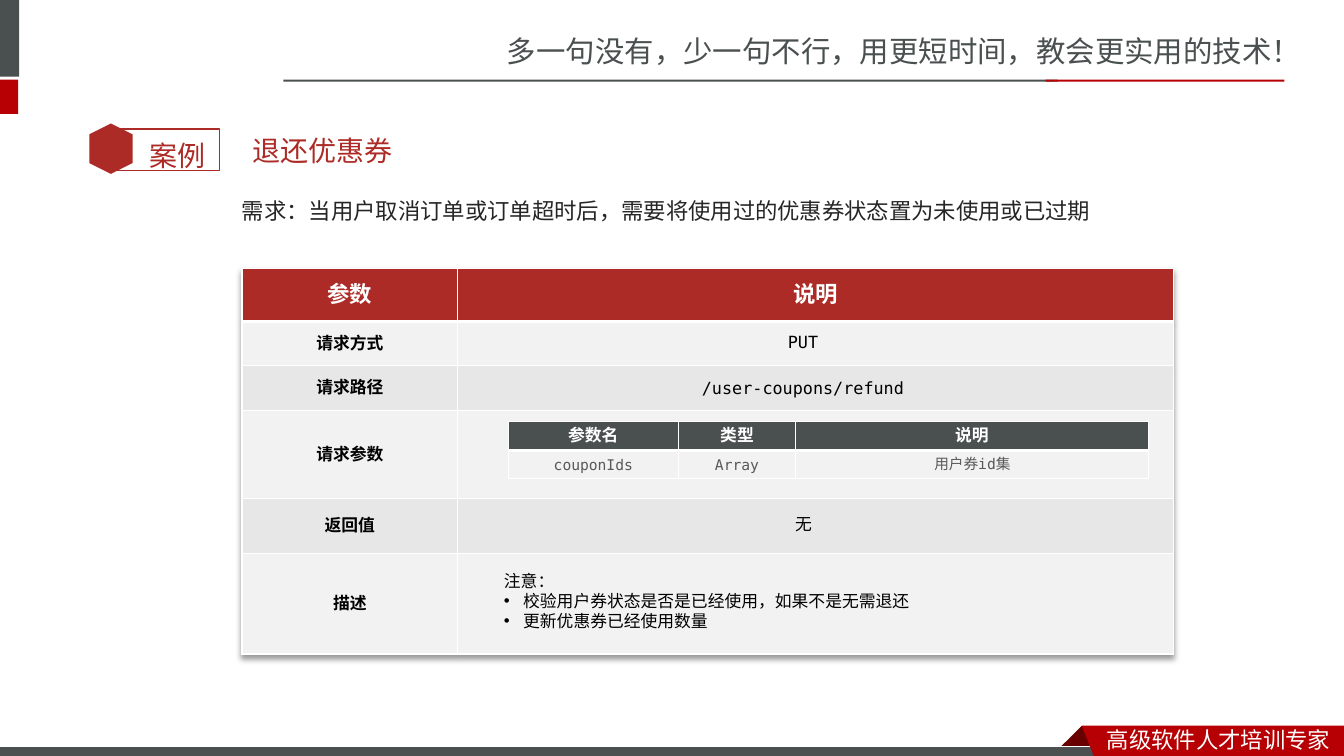
from lxml import etree
from pptx import Presentation
from pptx.dml.color import RGBColor
from pptx.enum.shapes import MSO_SHAPE
from pptx.enum.text import MSO_ANCHOR, MSO_AUTO_SIZE, PP_ALIGN
from pptx.oxml.ns import qn
from pptx.util import Inches, Pt

RECT = MSO_SHAPE.RECTANGLE
HEXAGON = MSO_SHAPE.HEXAGON
MIDDLE = MSO_ANCHOR.MIDDLE
TOP = MSO_ANCHOR.TOP
LEFT = PP_ALIGN.LEFT
CENTER = PP_ALIGN.CENTER

SANS = "Noto Sans CJK SC"
SANS_JP = "Noto Sans CJK JP"
MONO = "DejaVu Sans Mono"

COLORS = {
    "slate": "49504F", "red": "B60004", "fold": "680000", "brick": "AD2B26",
    "white": "FFFFFF", "black": "000000", "ink": "262626", "gray": "595959",
    "light": "F2F2F2", "band": "E7E7E7",
}


def color(name):
    return RGBColor.from_string(COLORS[name])


def add_span(para, text, size, font, tint, bold=False):
    span = para.add_run()
    span.text = text
    span.font.size = Pt(size)
    span.font.name = font
    span.font.bold = bold
    span.font.color.rgb = color(tint)
    etree.SubElement(span.font._element, qn("a:ea"), typeface=font)


def set_bullet(para, char=None):
    props = para._p.get_or_add_pPr()
    indent = Inches(0.19) if char else 0
    props.set("marL", str(indent))
    props.set("indent", str(-indent))
    if char:
        etree.SubElement(props, qn("a:buFont"), typeface="Arial")
        etree.SubElement(props, qn("a:buChar"), char=char)
    else:
        etree.SubElement(props, qn("a:buNone"))


def add_text(page, place, lines, size, font, tint, align=LEFT, anchor=TOP,
             spacing=None, bullet_from=None):
    box = page.shapes.add_textbox(*map(Inches, place))
    frame = box.text_frame
    frame.word_wrap = True
    frame.auto_size = MSO_AUTO_SIZE.SHAPE_TO_FIT_TEXT
    frame.vertical_anchor = anchor
    for index, line in enumerate(lines):
        para = frame.add_paragraph() if index else frame.paragraphs[0]
        para.alignment = align
        if spacing:
            para.line_spacing = spacing
        if bullet_from is not None and index >= bullet_from:
            set_bullet(para, "•")
        add_span(para, line, size, font, tint)


def fill_placeholder(holder, place, text, size, font, tint, anchor, spacing):
    holder.left, holder.top, holder.width, holder.height = map(Inches, place)
    frame = holder.text_frame
    frame.word_wrap = True
    frame.auto_size = MSO_AUTO_SIZE.NONE
    frame.vertical_anchor = anchor
    para = frame.paragraphs[0]
    para.alignment = LEFT
    para.line_spacing = spacing
    para.space_before = Pt(size * 0.2)
    set_bullet(para)
    add_span(para, text, size, font, tint)
    return frame


def style_shape(shape, fill=None, line=None, width=1):
    shape.shadow.inherit = False
    if fill:
        shape.fill.solid()
        shape.fill.fore_color.rgb = color(fill)
    else:
        shape.fill.background()
    if line:
        shape.line.color.rgb = color(line)
        shape.line.width = Pt(width)
    else:
        shape.line.fill.background()


def add_block(page, kind, place, fill=None, line=None, width=1, turn=0):
    shape = page.shapes.add_shape(kind, *map(Inches, place))
    shape.rotation = turn
    style_shape(shape, fill, line, width)


def add_outline(page, points, fill):
    corners = [(Inches(x), Inches(y)) for x, y in points]
    builder = page.shapes.build_freeform(*corners[0], scale=1.0)
    builder.add_line_segments(corners[1:], close=True)
    style_shape(builder.convert_to_shape(), fill)


def set_borders(cell, bottom):
    props = cell._tc.get_or_add_tcPr()
    for side, width in (("L", 1), ("R", 1), ("T", 1), ("B", bottom)):
        line = etree.SubElement(props, qn(f"a:ln{side}"), w=str(Pt(width)))
        paint = etree.SubElement(line, qn("a:solidFill"))
        etree.SubElement(paint, qn("a:srgbClr"), val=COLORS["white"])


def add_grid(page, place, widths, heights, rows, header_fill, header_size, margin):
    frame = page.shapes.add_table(len(heights), len(widths), *map(Inches, place))
    table = frame.table
    for column, width in zip(table.columns, widths):
        column.width = Inches(width)
    for index, (row, height) in enumerate(zip(table.rows, heights)):
        row.height = Inches(height)
        header = index == 0
        fill = header_fill if header else ("light" if index % 2 else "band")
        for cell, text in zip(row.cells, rows[index]):
            set_borders(cell, 3 if header else 1)
            cell.fill.solid()
            cell.fill.fore_color.rgb = color(fill)
            cell.vertical_anchor = MIDDLE
            cell.margin_top = cell.margin_bottom = Inches(margin)
            para = cell.text_frame.paragraphs[0]
            para.alignment = CENTER
            if text:
                add_span(para, text, header_size if header else 12, MONO,
                         "white" if header else "black", True)
            else:
                etree.SubElement(para._p, qn("a:endParaRPr"), sz="1000")
    return table


def add_table_shadow(table):
    effects = etree.SubElement(table._tbl.tblPr, qn("a:effectLst"))
    table._tbl.tblPr.insert(0, effects)
    shadow = etree.SubElement(effects, qn("a:outerShdw"), blurRad=str(Pt(4)),
                              dist=str(Pt(3)), dir="5400000", algn="t", rotWithShape="0")
    tint = etree.SubElement(shadow, qn("a:srgbClr"), val=COLORS["black"])
    etree.SubElement(tint, qn("a:alpha"), val="40000")


def add_frame(page):
    add_text(page, (4.93, 0.28, 8.41, 0.47),
             ["多一句没有，少一句不行，用更短时间，教会更实用的技术！"], 21, SANS, "slate")
    add_block(page, RECT, (-0.06, 0, 0.25, 0.76), "slate")
    add_block(page, RECT, (-0.06, 0.79, 0.24, 0.34), "red")
    add_block(page, RECT, (2.81, 0.79, 7.68, 0.02), "slate")
    add_block(page, RECT, (10.37, 0.79, 2.37, 0.02), "red")
    add_outline(page, [(10.73, 7.2), (10.95, 7.42), (10.94, 7.43),
                       (10.52, 7.43), (10.51, 7.42)], "fold")
    add_block(page, RECT, (-0.01, 7.41, 11, 0.12), "slate", "white", 0.75)
    add_outline(page, [(10.73, 7.2), (13.33, 7.2), (13.33, 7.54), (10.86, 7.53)], "red")
    add_text(page, (10.88, 7.15, 2.45, 0.37), ["高级软件人才培训专家"], 16, SANS, "white")


def add_badge(page):
    add_block(page, RECT, (1.09, 1.28, 1.09, 0.41), line="brick")
    add_block(page, HEXAGON, (0.85, 1.26, 0.5, 0.43), "brick", turn=90)
    add_text(page, (1.38, 1.16, 0.85, 0.56), ["案例"], 20, "Lato", "brick", spacing=1.5)


def add_interface_table(page):
    labels = ["请求方式", "请求路径", "请求参数", "返回值", "描述"]
    rows = [("参数", "说明")] + [(label, "") for label in labels]
    table = add_grid(page, (2.4, 2.66, 9.24, 3.83), [2.14, 7.1],
                     [0.53, 0.44, 0.44, 0.88, 0.54, 1], rows, "brick", 16, 0.05)
    add_table_shadow(table)
    for place, text in (((7, 3.24, 1.93, 0.3), "PUT"),
                        ((6.25, 3.7, 3.43, 0.3), "/user-coupons/refund"),
                        ((4.91, 5.05, 6.12, 0.3), "无")):
        add_text(page, place, [text], 12, MONO, "black", CENTER)
    add_text(page, (4.9, 5.61, 6.12, 0.71),
             ["注意：", "校验用户券状态是否是已经使用，如果不是无需退还", "更新优惠券已经使用数量"],
             12, MONO, "black", bullet_from=1)


def add_parameter_table(page):
    add_grid(page, (5.04, 4.18, 6.36, 0.57), [1.69, 1.16, 3.5], [0.29, 0.28],
             [("参数名", "类型", "说明"), ("", "", "")], "slate", 12, 0.02)
    for place, text in (((5.11, 4.46, 1.55, 0.29), "couponIds"),
                        ((6.66, 4.46, 1.3, 0.29), "Array"),
                        ((7.88, 4.45, 3.53, 0.29), "用户券id集")):
        add_text(page, place, [text], 10.5, MONO, "gray", CENTER, MIDDLE)


def main():
    deck = Presentation()
    deck.slide_width, deck.slide_height = Inches(13.33), Inches(7.5)
    page = deck.slides.add_slide(deck.slide_layouts[1])
    title, body = page.placeholders
    add_frame(page)
    add_badge(page)
    fill_placeholder(title, (2.4, 1.21, 10.08, 0.57), "退还优惠券",
                     20, "Calibri", "brick", MIDDLE, 1.0)
    requirement = fill_placeholder(
        body, (2.4, 1.77, 10.08, 0.71),
        "需求：当用户取消订单或订单超时后，需要将使用过的优惠券状态置为未使用或已过期",
        16, SANS_JP, "ink", TOP, 1.5)
    requirement.margin_left = requirement.margin_right = 0
    add_interface_table(page)
    add_parameter_table(page)
    deck.save("out.pptx")


if __name__ == "__main__":
    main()
